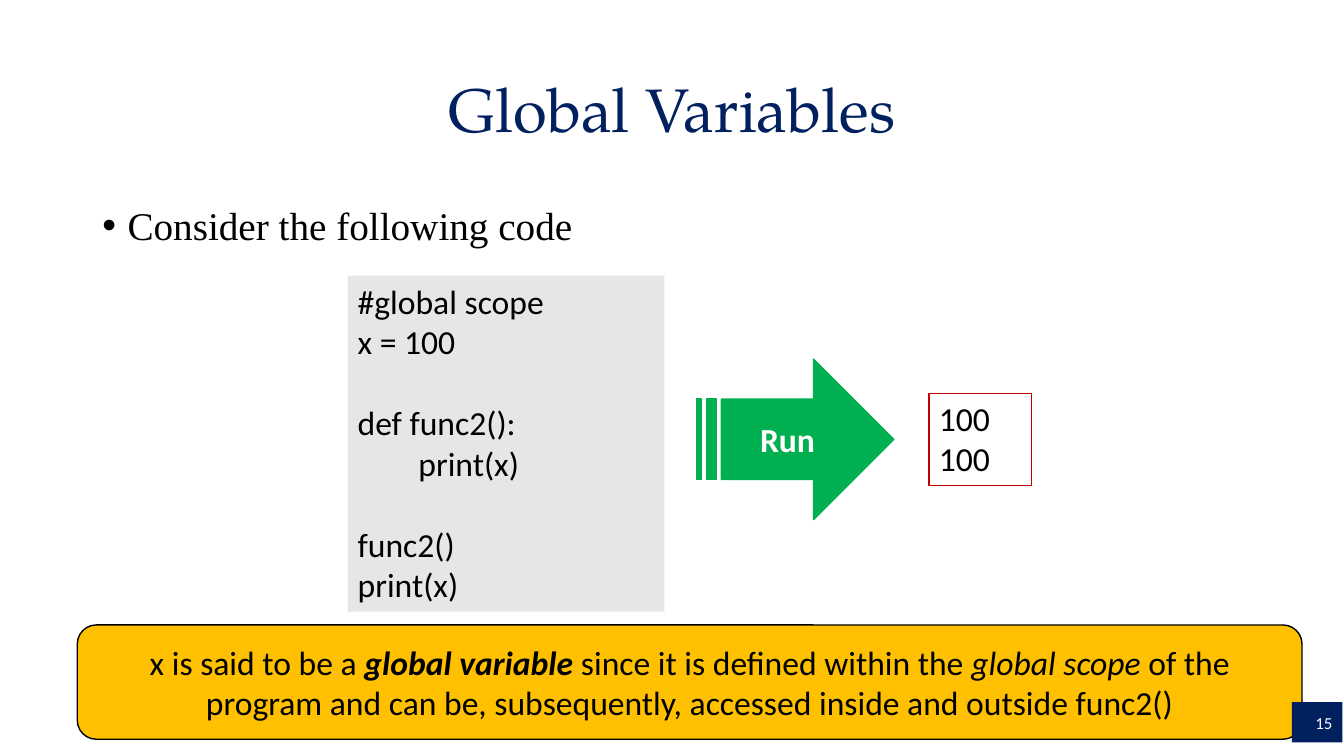
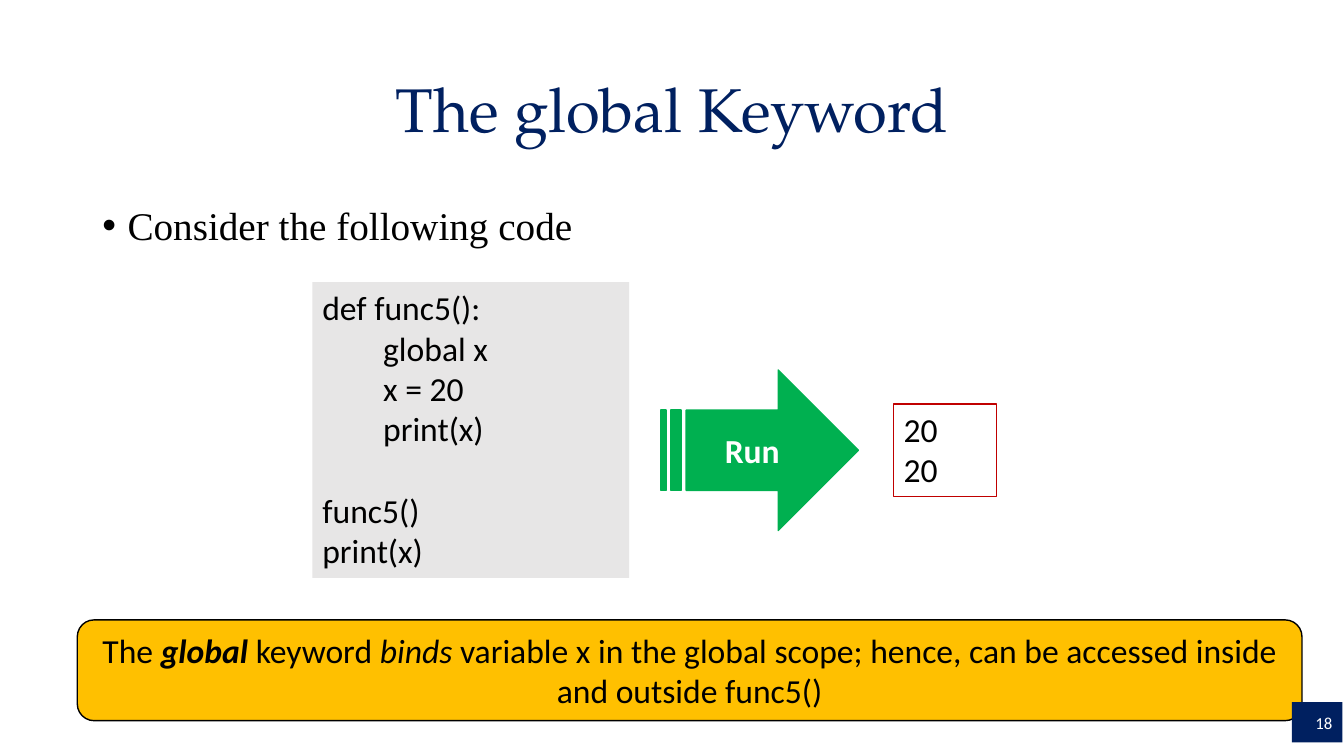
from lxml import etree
from pptx import Presentation, util as u
from pptx.dml.color import RGBColor
from pptx.enum import shapes, text
from pptx.oxml.ns import qn

COLUMNS, ROWS = 160, 90
WIDTH, HEIGHT = u.Inches(13.33), u.Inches(7.5)
NAVY, GREEN, RED, AMBER = "002060", "00B050", "C00000", "FFC000"
GREY, BLACK, WHITE = "E7E6E6", "000000", "FFFFFF"
KIND, ALIGN = shapes.MSO_SHAPE, text.PP_ALIGN
CODE_LINE = u.Pt(29.3)

PLAIN = {}
ITALIC = {"italic": True}
STRONG = {"bold": True, "italic": True}
NORMAL = {"name": "Calibri", "size": u.Pt(24)}
TITLE = {"name": "TeX Gyre Pagella", "size": u.Pt(44)}
BODY = {"name": "Times New Roman", "size": u.Pt(28)}
BADGE = {"name": "Calibri", "size": u.Pt(12)}

PAGES = [
    {
        "title": "Global Variables",
        "number": "15",
        "code": ["#global scope", "x = 100", "", "def func2():",
                 "        print(x)", "", "func2()", "print(x)"],
        "code_box": (41.4, 32.8, 37.7, 40),
        "middle": 52.3,
        "output": ["100", "100"],
        "callout": [("x is said to be a ", PLAIN), ("global variable ", STRONG),
                    ("since it is defined within the", PLAIN), (" global scope ", ITALIC),
                    ("of the program and can be, subsequently, "
                     "accessed inside and outside func2()", PLAIN)],
        "callout_box": (9.2, 74.4, 145.8, 13.6),
    },
    {
        "title": "The global Keyword",
        "number": "18",
        "code": ["def func5():", "        global x", "        x = 20",
                 "        print(x)", "", "func5()", "print(x)"],
        "code_box": (37.2, 33.6, 37.7, 35.2),
        "middle": 53.6,
        "output": ["20", "20"],
        "callout": [("The ", PLAIN), ("global ", STRONG), ("keyword ", PLAIN),
                    ("binds", ITALIC),
                    (" variable x in the global scope; hence, can be accessed "
                     "inside and outside func5()", PLAIN)],
        "callout_box": (9.2, 73.8, 145.8, 12),
    },
]


def color(value):
    """Turn a hex string into a colour."""
    return RGBColor.from_string(value)


def place(box):
    """Turn a box of grid columns and rows into slide lengths."""
    left, top, width, height = box
    return (int(left * WIDTH / COLUMNS), int(top * HEIGHT / ROWS),
            int(width * WIDTH / COLUMNS), int(height * HEIGHT / ROWS))


def apply(target, values):
    """Set every named attribute of the target."""
    for name, value in values.items():
        setattr(target, name, value)


def add_block(page, kind, box, fill=None, line=None, weight=1):
    """Add a preset shape with a plain fill and outline."""
    block = page.shapes.add_shape(kind, *place(box))
    block.shadow.inherit = False
    for part, value in ((block.fill, fill), (block.line.fill, line)):
        if value:
            part.solid()
            part.fore_color.rgb = color(value)
        else:
            part.background()
    if line:
        block.line.width = u.Pt(weight)
    return block


def write(shape, lines, font, ink=BLACK, align=ALIGN.LEFT,
          anchor=text.MSO_ANCHOR.MIDDLE, spacing=1.0):
    """Write lines of (text, format) spans; an empty line widens the gap."""
    frame = shape.text_frame
    apply(frame, {"word_wrap": True, "vertical_anchor": anchor})
    para, gap = None, 0
    for spans in lines:
        if not any(words for words, _ in spans):
            gap += CODE_LINE
            continue
        para = frame.add_paragraph() if para else frame.paragraphs[0]
        apply(para, {"alignment": align, "line_spacing": spacing, "space_before": gap})
        gap = 0
        for words, style in spans:
            span = para.add_run()
            span.text = words
            apply(span.font, {**font, **style})
            span.font.color.rgb = color(ink)
    return frame


def plain_lines(lines):
    """Make each string a line with one unformatted span."""
    return [[(line, PLAIN)] for line in lines]


def add_heading(page, title):
    """Add the centred title and the bulleted lead sentence."""
    heading = page.shapes.add_textbox(*place((11, 4.7, 138, 17.4)))
    write(heading, plain_lines([title]), TITLE, NAVY, ALIGN.CENTER, spacing=0.9)
    body = page.shapes.add_textbox(*place((11, 24, 142.3, 64.3)))
    frame = write(body, plain_lines(["Consider the following code"]), BODY,
                  anchor=text.MSO_ANCHOR.TOP, spacing=0.9)
    properties = frame.paragraphs[0]._p.get_or_add_pPr()
    indent = u.Inches(0.25)
    properties.set("marL", str(indent))
    properties.set("indent", str(-indent))
    etree.SubElement(properties, qn("a:buFont"), typeface="Arial")
    etree.SubElement(properties, qn("a:buChar"), char="•")


def add_program(page, box, middle, code, output):
    """Add the code panel, the run arrow and the output panel."""
    left = box[0]
    panel = add_block(page, KIND.RECTANGLE, box, GREY)
    write(panel, plain_lines(code), NORMAL, anchor=text.MSO_ANCHOR.TOP)
    arrow_height, output_height = 19.1, 11
    arrow = add_block(page, KIND.STRIPED_RIGHT_ARROW,
                      (left + 41.5, middle - arrow_height / 2, 23.5, arrow_height),
                      GREEN, GREEN)
    write(arrow, [[("Run", {"bold": True})]], NORMAL, WHITE, ALIGN.CENTER)
    result = add_block(page, KIND.RECTANGLE,
                       (left + 69.2, middle - output_height / 2, 12.2, output_height),
                       line=RED, weight=0.75)
    write(result, plain_lines(output), NORMAL, anchor=text.MSO_ANCHOR.TOP)


def add_callout(page, box, spans):
    """Add the rounded conclusion band."""
    band = add_block(page, KIND.ROUNDED_RECTANGLE, box, AMBER, BLACK)
    write(band, [spans], NORMAL, align=ALIGN.CENTER)


def add_number(page, number):
    """Add the page number badge in the lower right corner."""
    badge = add_block(page, KIND.RECTANGLE, (153.8, 83.6, 6, 4.8), NAVY)
    write(badge, plain_lines([number]), BADGE, WHITE, ALIGN.RIGHT)


def main():
    """Build and save the deck."""
    deck = Presentation()
    apply(deck, {"slide_width": WIDTH, "slide_height": HEIGHT})
    for content in PAGES:
        page = deck.slides.add_slide(deck.slide_layouts[6])
        add_heading(page, content["title"])
        add_program(page, content["code_box"], content["middle"],
                    content["code"], content["output"])
        add_callout(page, content["callout_box"], content["callout"])
        add_number(page, content["number"])
    deck.save("out.pptx")


if __name__ == "__main__":
    main()
